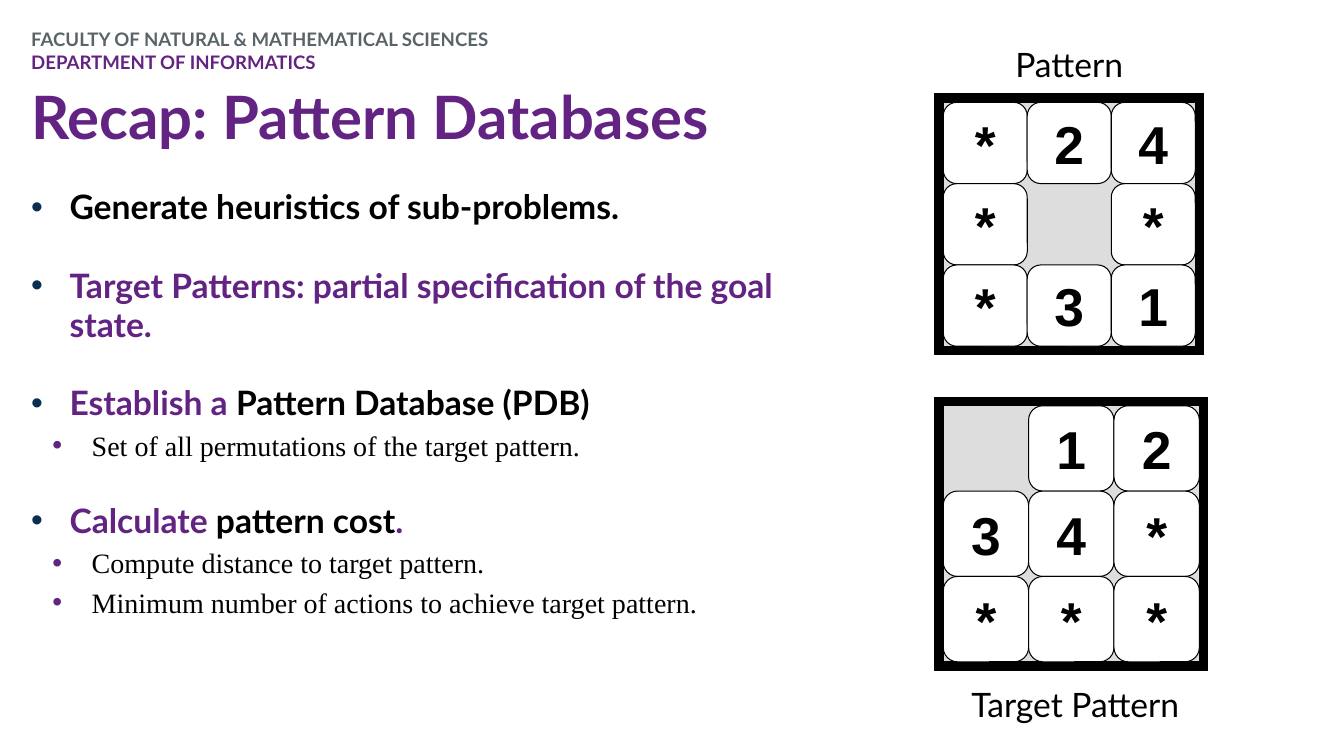
from dataclasses import dataclass

from lxml.etree import SubElement
from pptx import Presentation
from pptx.dml.color import RGBColor
from pptx.enum.shapes import MSO_SHAPE as Preset
from pptx.enum.text import MSO_ANCHOR as Anchor, PP_ALIGN as Align
from pptx.oxml.ns import qn
from pptx.util import Inches, Pt


@dataclass(frozen=True)
class Theme:
    purple: str = "632382"
    slate: str = "596469"
    navy: str = "0A2D50"
    black: str = "000000"
    white: str = "FFFFFF"
    tray: str = "DDDDDD"
    sans: str = "Lato"
    serif: str = "Times New Roman"
    tile_font: str = "Arial"
    header_size: float = 13.3
    title_size: float = 42.7
    body_size: float = 24
    detail_size: float = 20
    tile_size: float = 38.1
    line_pitch: float = 28


class SlideBuilder:
    def __init__(self, deck, theme):
        self.theme = theme
        self.slide = deck.slides.add_slide(deck.slide_layouts[6])

    def add_span(self, para, text, size, color, font, bold=False):
        span = para.add_run()
        span.text = text
        span.font.size = Pt(size)
        span.font.name = font
        span.font.bold = bold
        span.font.color.rgb = RGBColor.from_string(color)

    def text_frame(self, left, top, width, height, inset=True):
        box = self.slide.shapes.add_textbox(
            Inches(left), Inches(top), Inches(width), Inches(height))
        frame = box.text_frame
        frame.word_wrap = True
        if not inset:
            frame.margin_left = frame.margin_right = 0
            frame.margin_top = frame.margin_bottom = 0
        return frame

    def heading(self, left, top, width, height, size, lines):
        frame = self.text_frame(left, top, width, height, inset=False)
        for index, (text, color) in enumerate(lines):
            para = frame.add_paragraph() if index else frame.paragraphs[0]
            self.add_span(para, text, size, color, self.theme.sans, True)

    def caption(self, left, top, width, text):
        para = self.text_frame(left, top, width, 0.5).paragraphs[0]
        para.alignment = Align.CENTER
        self.add_span(para, text, self.theme.body_size, self.theme.black, self.theme.sans)

    def bullet(self, para, margin, hanging, color):
        props = para._p.get_or_add_pPr()
        props.set("marL", str(Inches(margin)))
        props.set("indent", str(-Inches(hanging)))
        SubElement(SubElement(props, qn("a:buClr")), qn("a:srgbClr")).set("val", color)
        SubElement(props, qn("a:buFont")).set("typeface", "Arial")
        SubElement(props, qn("a:buChar")).set("char", "•")

    def outline(self, left, top, width, height, points):
        """Each point is (spans, details); spans are (text, color) pairs."""
        theme = self.theme
        frame = self.text_frame(left, top, width, height, inset=False)
        for index, (spans, details) in enumerate(points):
            para = frame.add_paragraph() if index else frame.paragraphs[0]
            self.bullet(para, 0.38, 0.38, theme.navy)
            para.line_spacing = Pt(theme.line_pitch)
            if index:
                para.space_before = Pt(theme.line_pitch)
            for text, color in spans:
                self.add_span(para, text, theme.body_size, color, theme.sans, True)
            for detail in details:
                para = frame.add_paragraph()
                para.level = 1
                self.bullet(para, 0.6, 0.39, theme.purple)
                para.line_spacing = Pt(theme.line_pitch)
                para.space_before = Pt(0)
                self.add_span(para, detail, theme.detail_size, theme.black, theme.serif)

    def block(self, group, preset, left, top, width, height, fill):
        shape = group.shapes.add_shape(
            preset, Inches(left), Inches(top), Inches(width), Inches(height))
        shape.shadow.inherit = False
        shape.fill.solid()
        shape.fill.fore_color.rgb = RGBColor.from_string(fill)
        shape.line.color.rgb = RGBColor.from_string(self.theme.black)
        shape.line.width = Pt(0.75)
        return shape

    def board(self, left, top, width, height, rows, rim=0.085):
        """Sliding puzzle; a space in a row leaves that cell empty."""
        theme = self.theme
        group = self.slide.shapes.add_group_shape()
        self.block(group, Preset.RECTANGLE, left, top, width, height, theme.black)
        left, top = left + rim, top + rim
        width, height = width - 2 * rim, height - 2 * rim
        self.block(group, Preset.RECTANGLE, left, top, width, height, theme.tray)
        tile_width, tile_height = width / 3, height / 3
        for row, marks in enumerate(rows):
            for column, mark in enumerate(marks):
                if mark == " ":
                    continue
                tile = self.block(
                    group, Preset.ROUNDED_RECTANGLE, left + column * tile_width,
                    top + row * tile_height, tile_width, tile_height, theme.white)
                tile.adjustments[0] = 0.167
                frame = tile.text_frame
                frame.word_wrap = False
                frame.vertical_anchor = Anchor.MIDDLE
                para = frame.paragraphs[0]
                para.alignment = Align.CENTER
                self.add_span(para, mark, theme.tile_size, theme.black, theme.tile_font, True)


def main():
    deck = Presentation()
    deck.slide_width, deck.slide_height = Inches(13.33), Inches(7.5)
    theme = Theme()
    page = SlideBuilder(deck, theme)

    # Header and title
    page.heading(0.31, 0.28, 8.93, 0.45, theme.header_size, [
        ("FACULTY OF NATURAL & MATHEMATICAL SCIENCES", theme.slate),
        ("DEPARTMENT OF INFORMATICS", theme.purple),
    ])
    page.heading(0.31, 0.79, 11.5, 0.79, theme.title_size,
                 [("Recap: Pattern Databases", theme.purple)])

    # Bullet points
    page.outline(0.31, 1.86, 7.98, 4.96, [
        ([("Generate heuristics of sub-problems.", theme.black)], []),
        ([("Target Patterns: partial specification of the goal state.", theme.purple)], []),
        ([("Establish a ", theme.purple), ("Pattern Database (PDB)", theme.black)],
         ["Set of all permutations of the target pattern."]),
        ([("Calculate ", theme.purple), ("pattern cost", theme.black), (".", theme.purple)],
         ["Compute distance to target pattern.",
          "Minimum number of actions to achieve target pattern."]),
    ])

    # Puzzle boards with captions
    page.board(9.27, 0.93, 2.67, 2.59, ["*24", "* *", "*31"])
    page.board(9.27, 3.94, 2.71, 2.71, [" 12", "34*", "***"])
    page.caption(9.44, 6.74, 2.45, "Target Pattern")
    page.caption(9.27, 0.39, 2.67, "Pattern")

    deck.save("out.pptx")


if __name__ == "__main__":
    main()
